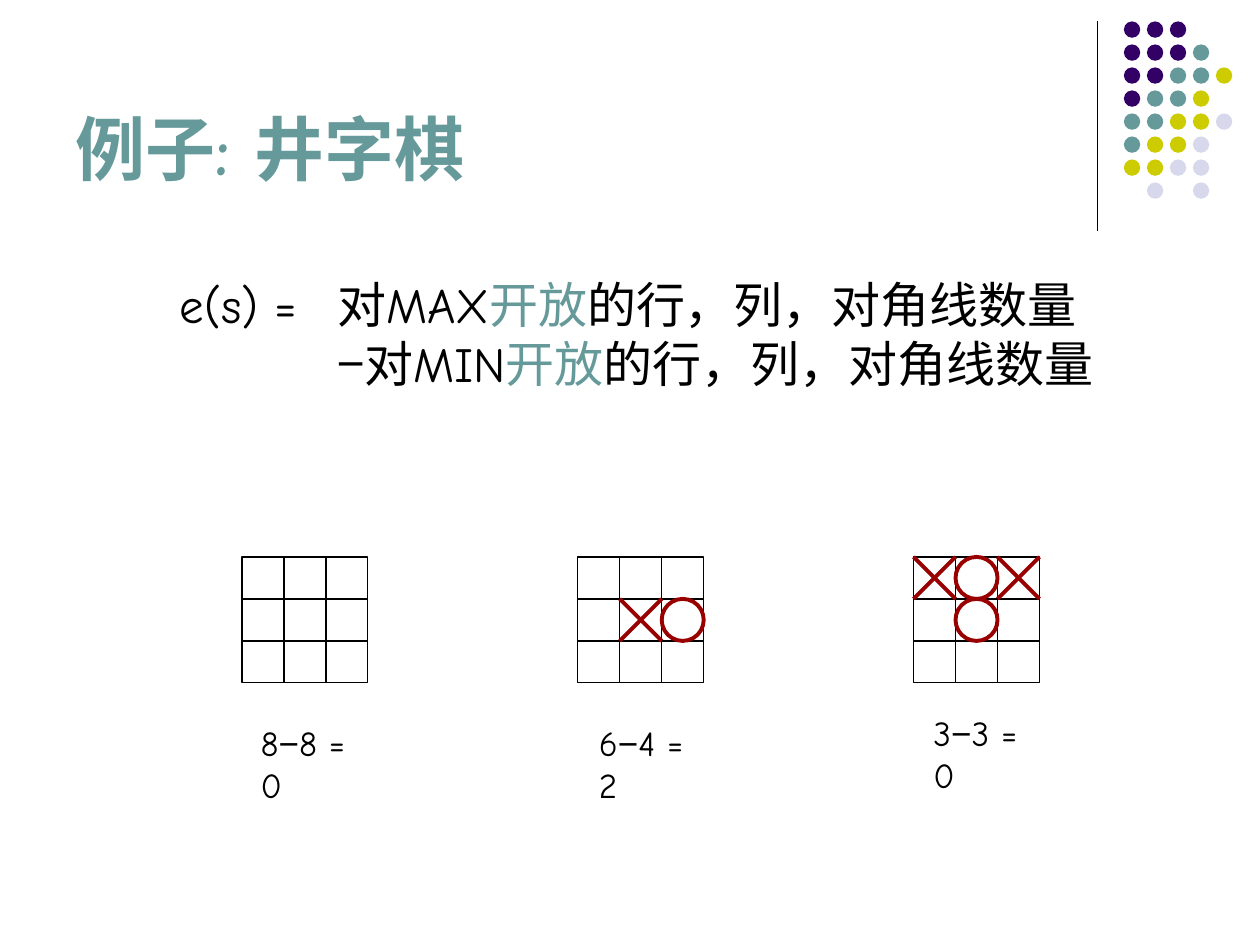
import pptx
import pptx.dml.color
import pptx.enum.shapes
import pptx.enum.text
import pptx.oxml
import pptx.oxml.ns
import pptx.util
from lxml import etree

Inches, Pt = pptx.util.Inches, pptx.util.Pt
RGBColor = pptx.dml.color.RGBColor
MSO_SHAPE = pptx.enum.shapes.MSO_SHAPE
MSO_ANCHOR = pptx.enum.text.MSO_ANCHOR
qn = pptx.oxml.ns.qn

BLACK = RGBColor(0x00, 0x00, 0x00)
TEAL = RGBColor(0x66, 0x99, 0x99)
PURPLE = RGBColor(0x33, 0x00, 0x66)
LIME = RGBColor(0xCC, 0xCC, 0x00)
LAVENDER = RGBColor(0xD8, 0xD8, 0xEC)
RED = RGBColor(0x99, 0x00, 0x00)

FONT = "Comic Neue"
MINUS_FONT = "Arial"
DOT_COLORS = {"P": PURPLE, "T": TEAL, "L": LIME, "V": LAVENDER}
DOT_ROWS = ["PPP", "PPPT", "PPTTL", "PTTL", "TTLLV", "TLLV", "LLVV", " V V"]


def add_line(slide, x1, y1, x2, y2, color=BLACK, width=0.75):
    line = slide.shapes.add_connector(
        pptx.enum.shapes.MSO_CONNECTOR.STRAIGHT,
        Inches(x1), Inches(y1), Inches(x2), Inches(y2))
    line.line.color.rgb = color
    line.line.width = Pt(width)
    etree.SubElement(line._element.spPr, qn("a:effectLst"))


def add_outline(slide, kind, x, y, size, color=BLACK, width=0.75):
    sp = slide.shapes.add_shape(kind, Inches(x), Inches(y), Inches(size), Inches(size))
    sp.shadow.inherit = False
    sp.fill.background()
    sp.line.color.rgb = color
    sp.line.width = Pt(width)


def add_text(slide, x, y, w, h, lines, size, bold=None, tab=None, anchor=MSO_ANCHOR.TOP):
    """Each line is a list of (text, color) pieces; a minus sign gets its own font."""
    tf = slide.shapes.add_textbox(Inches(x), Inches(y), Inches(w), Inches(h)).text_frame
    tf.word_wrap = True
    tf.vertical_anchor = anchor
    for i, pieces in enumerate(lines):
        p = tf.paragraphs[0] if i == 0 else tf.add_paragraph()
        if tab:
            tabs = etree.SubElement(p._p.get_or_add_pPr(), qn("a:tabLst"))
            etree.SubElement(tabs, qn("a:tab"), pos=str(Inches(tab)), algn="l")
        for text, color in pieces:
            r = p.add_run()
            r.text = text
            r.font.name = MINUS_FONT if text == "−" else FONT
            r.font.size = Pt(size)
            r.font.bold = bold
            r.font.color.rgb = color


def add_dot_corner(slide, x, y, height):
    """A vertical rule with a grid of coloured dots to its right."""
    add_line(slide, x, y, x, y + height)
    pitch, dot = height * 0.11, 0.13
    for row, marks in enumerate(DOT_ROWS):
        for col, mark in enumerate(marks):
            if mark == " ":
                continue
            sp = slide.shapes.add_shape(
                MSO_SHAPE.OVAL, Inches(x + 0.21 + col * pitch),
                Inches(y + row * pitch), Inches(dot), Inches(dot))
            sp.shadow.inherit = False
            sp.fill.solid()
            sp.fill.fore_color.rgb = DOT_COLORS[mark]
            sp.line.fill.background()


def add_formula(slide, x, y, w, h):
    tail = [("开放", TEAL), ("的行，列，对角线数量", BLACK)]
    add_text(slide, x, y, w, h, [
        [("e(s) =\t对MAX", BLACK)] + tail,
        [("\t", BLACK), ("−", BLACK), ("对MIN", BLACK)] + tail,
    ], 28, tab=1.25)


def add_board(slide, x, y, size, rows):
    cell = size / 3
    add_outline(slide, MSO_SHAPE.RECTANGLE, x, y, size)
    for step in (cell, 2 * cell):
        add_line(slide, x + step, y, x + step, y + size)
        add_line(slide, x, y + step, x + size, y + step)
    for row, marks in enumerate(rows):
        for col, mark in enumerate(marks):
            left, top = x + col * cell, y + row * cell
            right, bottom = left + cell, top + cell
            if mark == "O":
                add_outline(slide, MSO_SHAPE.OVAL, left, top, cell, RED, 2.25)
            elif mark == "X":
                add_line(slide, left, top, right, bottom, RED, 2.25)
                add_line(slide, left, bottom, right, top, RED, 2.25)


def add_score(slide, x, y, first, rest):
    pieces = [(first, BLACK), ("−", BLACK), (rest, BLACK)]
    add_text(slide, x, y, 1, 0.44, [pieces], 20)


def main():
    prs = pptx.Presentation()
    prs.slide_width, prs.slide_height = Inches(10), Inches(7.5)
    slide = prs.slides.add_slide(prs.slide_layouts[6])

    add_dot_corner(slide, 8.71, 0.17, 1.66)
    add_text(slide, 0.5, 0.13, 8.25, 1.42, [[("例子: 井字棋", TEAL)]], 40,
             bold=True, anchor=MSO_ANCHOR.BOTTOM)
    add_formula(slide, 1.33, 2.13, 7.67, 1.04)

    boards = [
        (["   ", "   ", "   "], "8", "8 = 0", 0.05, 5.68),
        (["   ", " XO", "   "], "6", "4 = 2", 0.07, 5.68),
        (["XOX", " O ", "   "], "3", "3 = 0", 0.06, 5.6),
    ]
    for i, (rows, first, rest, indent, score_top) in enumerate(boards):
        x = 1.92 + i * 2.665
        add_board(slide, x, 4.42, 1, rows)
        add_score(slide, x + indent, score_top, first, rest)

    prs.save("out.pptx")


if __name__ == "__main__":
    main()
